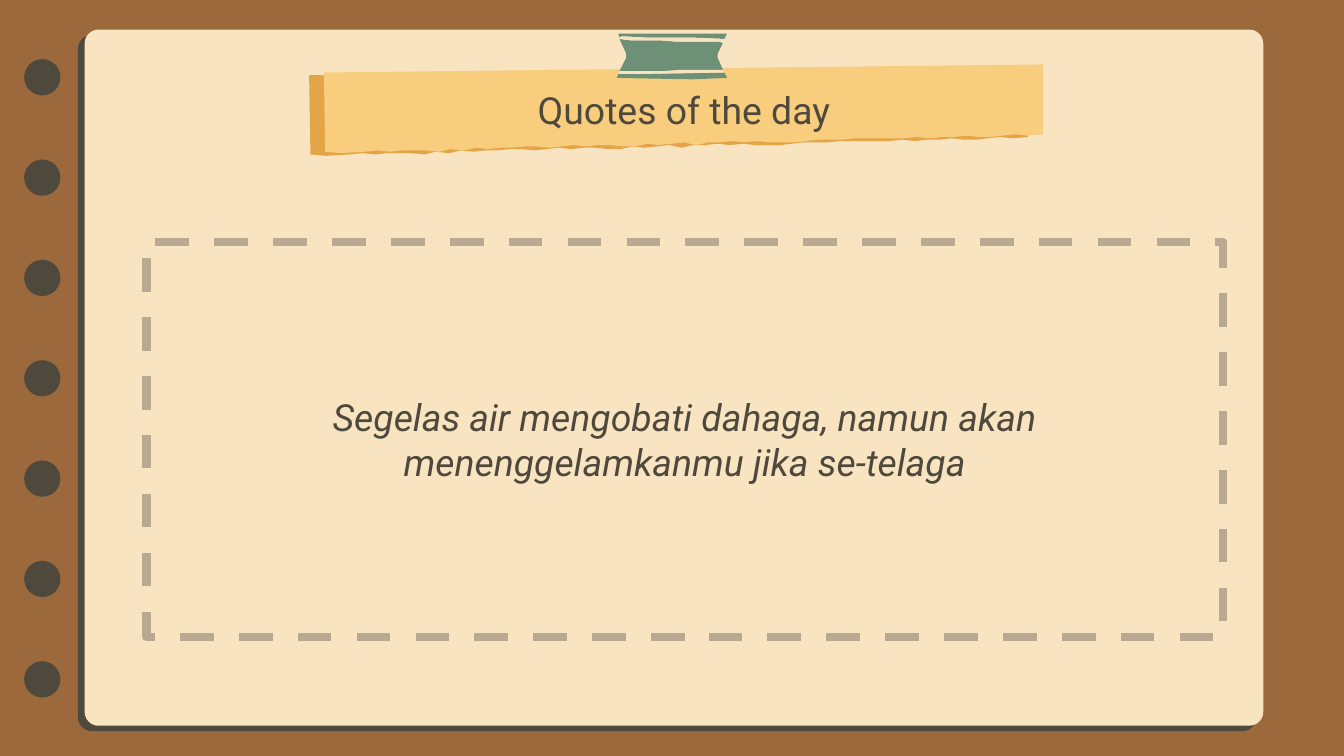
from pptx import Presentation
from pptx.dml.color import RGBColor
from pptx.enum import dml, shapes, text
from pptx.util import Inches, Pt

BROWN = RGBColor(0x9C, 0x69, 0x3D)
DARK = RGBColor(0x4F, 0x49, 0x3D)
CREAM = RGBColor(0xF9, 0xE4, 0xC2)
ORANGE = RGBColor(0xE4, 0xA4, 0x48)
YELLOW = RGBColor(0xF8, 0xCD, 0x7D)
GREEN = RGBColor(0x6E, 0x90, 0x77)
TAUPE = RGBColor(0xB8, 0xA9, 0x90)
FONT = "Roboto"

# Paper strip: straight top, then the torn lower edge from right to left
STRIP = [
    (2.41, 0.54), (7.76, 0.48), (7.76, 1), (7.65, 1.01), (7.55, 1),
    (7.46, 1.01), (7.37, 1.02), (7.28, 1.02), (7.19, 1.01), (7.1, 1.02),
    (7.01, 1.02), (6.92, 1.03), (6.82, 1.02), (6.73, 1.03), (6.55, 1.03),
    (6.36, 1.03), (6.27, 1.04), (6.09, 1.04), (6, 1.05), (5.92, 1.06),
    (5.73, 1.06), (5.64, 1.05), (5.54, 1.06), (5.45, 1.05), (5.36, 1.06),
    (5.27, 1.06), (5.18, 1.08), (5.09, 1.06), (5, 1.07), (4.9, 1.08),
    (4.82, 1.07), (4.73, 1.09), (4.64, 1.09), (4.54, 1.08), (4.45, 1.08),
    (4.36, 1.09), (4.27, 1.08), (4.18, 1.09), (4.09, 1.1), (3.99, 1.09),
    (3.9, 1.09), (3.81, 1.1), (3.72, 1.1), (3.63, 1.11), (3.54, 1.1),
    (3.45, 1.12), (3.35, 1.11), (3.27, 1.13), (3.17, 1.12), (2.99, 1.12),
    (2.9, 1.13), (2.81, 1.12), (2.71, 1.13), (2.54, 1.14), (2.42, 1.13),
]

# Sticky tape: body, bottom and top bands, then the two pale stripes
TAPE = [
    (GREEN, [(4.61, 0.29), (4.66, 0.4), (4.66, 0.43), (4.61, 0.53), (4.92, 0.53),
             (5.38, 0.52), (5.34, 0.43), (5.34, 0.4), (5.38, 0.32), (5.35, 0.31),
             (5.03, 0.31), (4.91, 0.3), (4.69, 0.3)]),
    (GREEN, [(5.39, 0.54), (4.8, 0.55), (4.6, 0.55), (4.59, 0.58), (5.15, 0.59),
             (5.41, 0.58)]),
    (GREEN, [(4.6, 0.25), (4.61, 0.28), (4.63, 0.27), (4.81, 0.28), (5.15, 0.28),
             (5.39, 0.29), (5.41, 0.25)]),
    (CREAM, [(4.62, 0.27), (4.61, 0.29), (4.69, 0.3), (4.91, 0.3), (5.03, 0.31),
             (5.35, 0.31), (5.38, 0.32), (5.39, 0.29), (5.15, 0.28), (4.81, 0.28)]),
    (CREAM, [(5.38, 0.52), (5.06, 0.52), (4.93, 0.53), (4.61, 0.53), (4.6, 0.55),
             (4.8, 0.55), (5.39, 0.54)]),
]


def paint(shape, color):
    shape.shadow.inherit = False
    shape.fill.solid()
    shape.fill.fore_color.rgb = color
    shape.line.fill.background()


def add_preset(slide, kind, left, top, width, height, color):
    shape = slide.shapes.add_shape(
        kind, Inches(left), Inches(top), Inches(width), Inches(height))
    paint(shape, color)
    return shape


def add_outline(slide, points, color, dx=0, dy=0):
    corners = [(Inches(x + dx), Inches(y + dy)) for x, y in points]
    builder = slide.shapes.build_freeform(*corners[0])
    builder.add_line_segments(corners[1:], close=True)
    paint(builder.convert_to_shape(), color)


def set_text(shape, words, italic=False):
    frame = shape.text_frame
    frame.word_wrap = True
    frame.vertical_anchor = text.MSO_ANCHOR.MIDDLE
    frame.margin_left = frame.margin_right = Inches(0.1)
    frame.margin_top = frame.margin_bottom = Inches(0.1)
    paragraph = frame.paragraphs[0]
    paragraph.text = words
    paragraph.alignment = text.PP_ALIGN.CENTER
    paragraph.font.name = FONT
    paragraph.font.size = Pt(20)
    paragraph.font.italic = italic
    paragraph.font.color.rgb = DARK


def add_notebook(slide):
    for left, top, color in ((0.58, 0.26, DARK), (0.63, 0.22, CREAM)):
        page = add_preset(slide, shapes.MSO_SHAPE.ROUNDED_RECTANGLE,
                          left, top, 8.77, 5.18, color)
        page.adjustments[0] = 0.02
    # Seven punched holes, evenly spaced
    first, last, count = 0.44, 4.92, 7
    for index in range(count):
        top = first + index * (last - first) / (count - 1)
        add_preset(slide, shapes.MSO_SHAPE.OVAL, 0.18, top, 0.27, 0.27, DARK)


def add_title(slide):
    add_outline(slide, STRIP, ORANGE, dx=-0.11, dy=0.02)
    add_outline(slide, STRIP, YELLOW)
    title = slide.shapes.add_textbox(
        Inches(2.39), Inches(0.49), Inches(5.4), Inches(0.65))
    set_text(title, "Quotes of the day")
    for color, points in TAPE:
        add_outline(slide, points, color)


def add_quote(slide):
    box = add_preset(slide, shapes.MSO_SHAPE.RECTANGLE, 1.09, 1.8, 8.01, 2.94, CREAM)
    box.line.color.rgb = TAUPE
    box.line.width = Pt(4.5)
    box.line.dash_style = dml.MSO_LINE.DASH
    set_text(box, "Segelas air mengobati dahaga, namun akan "
                  "menenggelamkanmu jika se-telaga", italic=True)


def main():
    presentation = Presentation()
    # Widescreen, 16:9
    presentation.slide_width = Inches(10)
    presentation.slide_height = Inches(10) * 9 // 16
    slide = presentation.slides.add_slide(presentation.slide_layouts[6])
    slide.background.fill.solid()
    slide.background.fill.fore_color.rgb = BROWN
    add_notebook(slide)
    add_title(slide)
    add_quote(slide)
    presentation.save("out.pptx")


if __name__ == "__main__":
    main()
